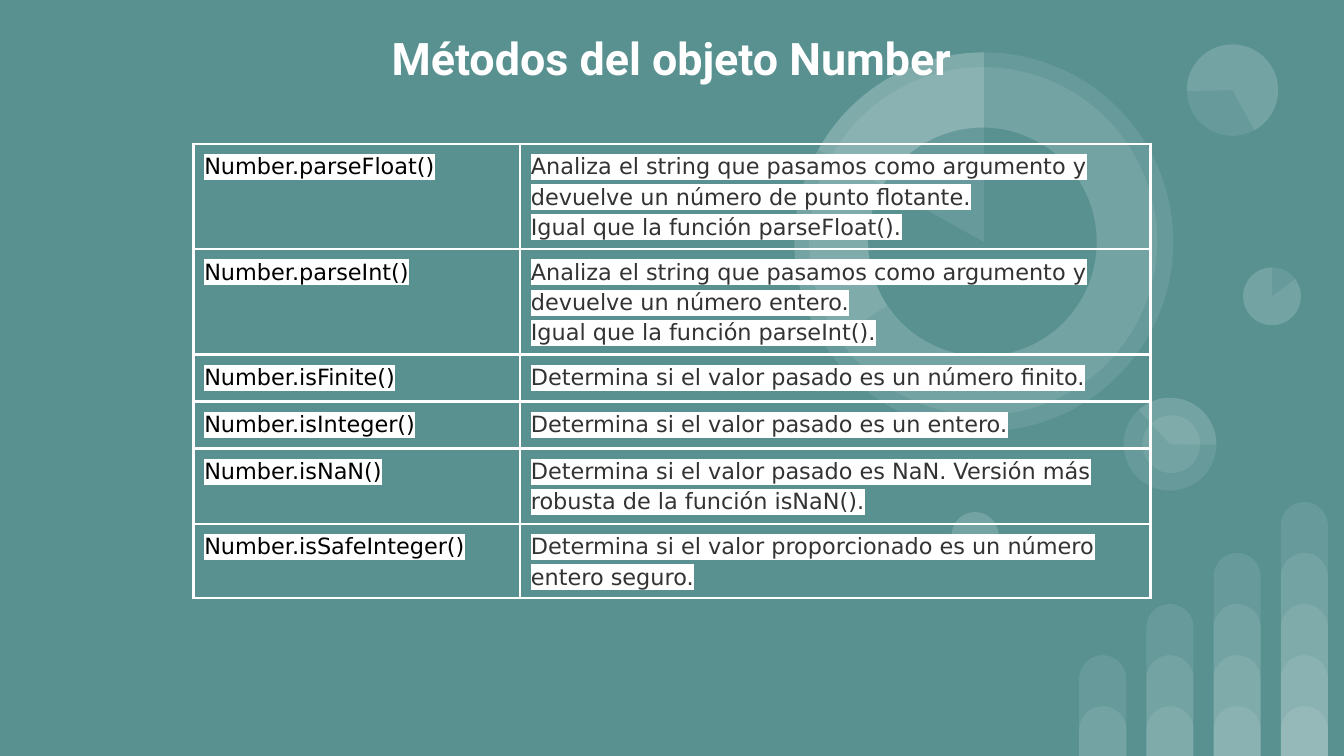
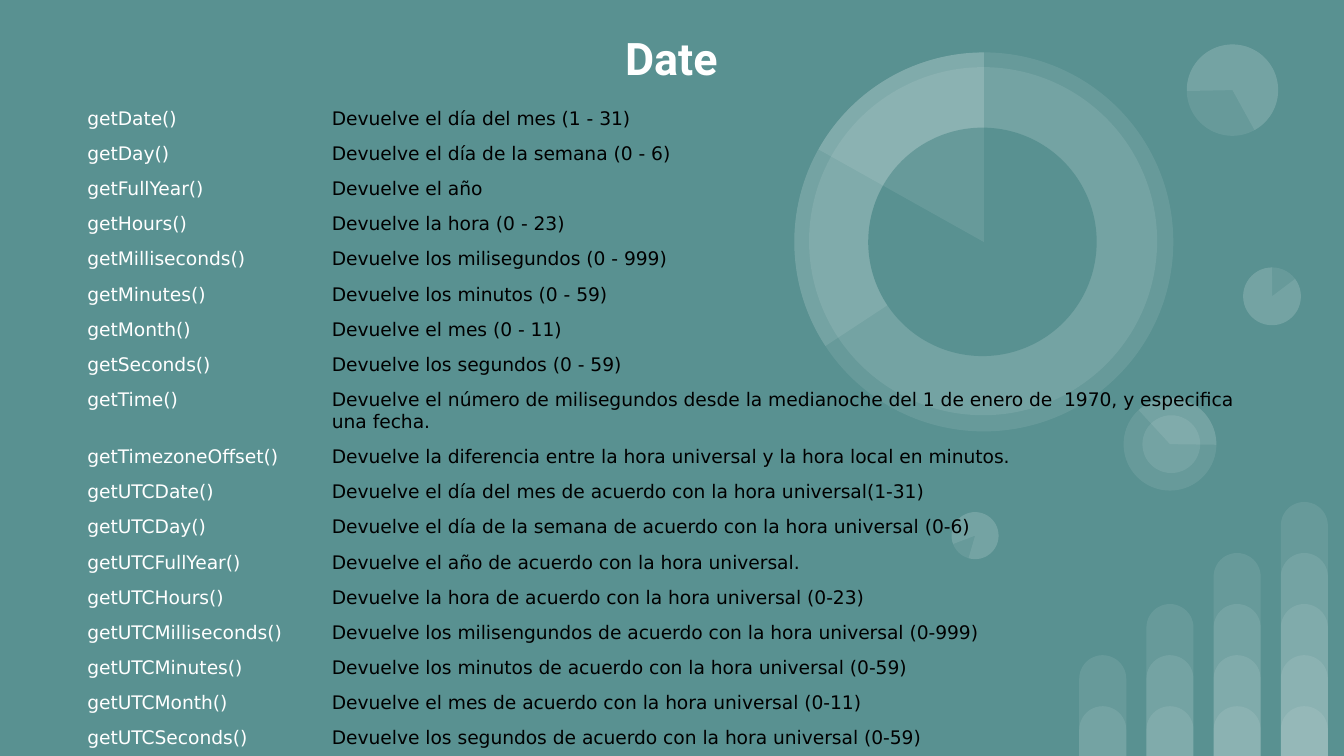
import dataclasses

import lxml.etree
import pptx
import pptx.dml.color
import pptx.enum.shapes
import pptx.enum.text
import pptx.oxml.ns
import pptx.util

Inches = pptx.util.Inches
SHAPE = pptx.enum.shapes.MSO_SHAPE
ALIGN = pptx.enum.text.PP_ALIGN
ANCHOR = pptx.enum.text.MSO_ANCHOR
qn = pptx.oxml.ns.qn


@dataclasses.dataclass(frozen=True)
class Theme:
    background: str = "599191"
    white: str = "FFFFFF"
    black: str = "000000"
    description: str = "333333"
    veil_alpha: int = 9
    title_font: str = "Roboto"
    body_font: str = "DejaVu Sans"
    title_size: int = 24
    number_size: int = 12
    date_size: int = 10
    border_width: float = 1.47
    cell_padding: float = 3.4


THEME = Theme()
SLIDE_WIDTH = 10
SLIDE_HEIGHT = SLIDE_WIDTH * 9 / 16

NUMBER_METHODS = [
    ("Number.parseFloat()",
     "Analiza el string que pasamos como argumento y devuelve un número de punto flotante.\n"
     "Igual que la función parseFloat()."),
    ("Number.parseInt()",
     "Analiza el string que pasamos como argumento y devuelve un número entero.\n"
     "Igual que la función parseInt()."),
    ("Number.isFinite()", "Determina si el valor pasado es un número finito."),
    ("Number.isInteger()", "Determina si el valor pasado es un entero."),
    ("Number.isNaN()",
     "Determina si el valor pasado es NaN. Versión más robusta de la función isNaN()."),
    ("Number.isSafeInteger()",
     "Determina si el valor proporcionado es un número entero seguro."),
]

DATE_METHODS = [
    ("getDate()", "Devuelve el día del mes (1 - 31)"),
    ("getDay()", "Devuelve el día de la semana (0 - 6)"),
    ("getFullYear()", "Devuelve el año"),
    ("getHours()", "Devuelve la hora (0 - 23)"),
    ("getMilliseconds()", "Devuelve los milisegundos (0 - 999)"),
    ("getMinutes()", "Devuelve los minutos (0 - 59)"),
    ("getMonth()", "Devuelve el mes (0 - 11)"),
    ("getSeconds()", "Devuelve los segundos (0 - 59)"),
    ("getTime()",
     "Devuelve el número de milisegundos desde la medianoche del 1 de enero de  1970, "
     "y especifica una fecha."),
    ("getTimezoneOffset()",
     "Devuelve la diferencia entre la hora universal y la hora local en minutos."),
    ("getUTCDate()", "Devuelve el día del mes de acuerdo con la hora universal(1-31)"),
    ("getUTCDay()", "Devuelve el día de la semana de acuerdo con la hora universal (0-6)"),
    ("getUTCFullYear()", "Devuelve el año de acuerdo con la hora universal."),
    ("getUTCHours()", "Devuelve la hora de acuerdo con la hora universal (0-23)"),
    ("getUTCMilliseconds()",
     "Devuelve los milisengundos de acuerdo con la hora universal (0-999)"),
    ("getUTCMinutes()", "Devuelve los minutos de acuerdo con la hora universal (0-59)"),
    ("getUTCMonth()", "Devuelve el mes de acuerdo con la hora universal (0-11)"),
    ("getUTCSeconds()", "Devuelve los segundos de acuerdo con la hora universal (0-59)"),
]


def rgb(color):
    return pptx.dml.color.RGBColor.from_string(color)


def write_text(frame, text, *, font, size, color, bold=False, align=ALIGN.LEFT,
               spacing=1.0, highlight=None):
    frame.word_wrap = True
    for index, line in enumerate(text.split("\n")):
        paragraph = frame.add_paragraph() if index else frame.paragraphs[0]
        paragraph.alignment = align
        paragraph.line_spacing = spacing
        run = paragraph.add_run()
        run.text = line
        run.font.size = pptx.util.Pt(size)
        run.font.bold = bold
        run.font.color.rgb = rgb(color)
        run.font.name = font
        if highlight:
            marker = lxml.etree.Element(qn("a:highlight"))
            lxml.etree.SubElement(marker, qn("a:srgbClr"), val=highlight)
            run.font._element.find(qn("a:latin")).addprevious(marker)


def add_veil(slide, kind, left, top, width, height, rotation=0, adjustments=(),
             color=THEME.white, alpha=THEME.veil_alpha):
    veil = slide.shapes.add_shape(kind, Inches(left), Inches(top), Inches(width), Inches(height))
    veil.shadow.inherit = False
    veil.rotation = rotation
    for index, value in enumerate(adjustments):
        veil.adjustments[index] = value
    veil.fill.solid()
    veil.fill.fore_color.rgb = rgb(color)
    veil.line.fill.background()
    if alpha < 100:
        tint = veil._element.spPr.find(qn("a:solidFill"))[0]
        lxml.etree.SubElement(tint, qn("a:alpha"), val=str(alpha * 1000))


def add_disc(slide, left, top, diameter, rotation=0, **paint):
    add_veil(slide, SHAPE.OVAL, left, top, diameter, diameter, rotation, **paint)


def add_slice(slide, left, top, diameter, start, end=270, rotation=0):
    units_per_degree = 0.6
    add_veil(slide, SHAPE.PIE, left, top, diameter, diameter, rotation,
             (start * units_per_degree, end * units_per_degree))


def add_bars(slide):
    for column in range(4):
        for level in range(column + 2):
            height = 0.37 + 0.38 * level
            add_veil(slide, SHAPE.ROUND_2_SAME_RECTANGLE, 8.03 + 0.5 * column,
                     SLIDE_HEIGHT - height, 0.35, height, adjustments=(0.5, 0))


def add_small_pies(slide):
    for left, top, diameter, rotation, start, end in [
        (9.25, 1.99, 0.43, 0, 322.95, 270),
        (7.08, 3.81, 0.35, 196.2, 322.95, 270),
        (8.36, 2.96, 0.69, 90, 137.41, 270.77),
        (8.83, 0.33, 0.68, 215.9, 322.95, 205.23),
    ]:
        add_disc(slide, left, top, diameter, rotation)
        add_slice(slide, left, top, diameter, start, end, rotation)
    add_disc(slide, 8.5, 3.09, 0.43, 90)


def add_ring(slide):
    outer = (5.91, 0.39, 2.82)
    tilt = 34.1
    add_disc(slide, *outer)
    add_disc(slide, 6.02, 0.5, 2.59, tilt)
    add_slice(slide, *outer, 146.69)
    add_disc(slide, 6.46, 0.95, 1.7, tilt, color=THEME.background, alpha=100)
    add_slice(slide, *outer, 209.24)


def add_title(slide, text):
    title = slide.shapes.add_textbox(Inches(0.73), Inches(0.22), Inches(8.53), Inches(0.42))
    frame = title.text_frame
    frame.vertical_anchor = ANCHOR.MIDDLE
    frame.margin_left = frame.margin_right = Inches(0.1)
    frame.margin_top = frame.margin_bottom = Inches(0.1)
    write_text(frame, text, font=THEME.title_font, size=THEME.title_size,
               color=THEME.white, bold=True, align=ALIGN.CENTER)


def set_borders(cell, color):
    properties = cell._tc.get_or_add_tcPr()
    width = str(pptx.util.Pt(THEME.border_width) if color else 0)
    for side in ("lnL", "lnR", "lnT", "lnB"):
        border = lxml.etree.SubElement(properties, qn("a:" + side), w=width)
        if color:
            fill = lxml.etree.SubElement(border, qn("a:solidFill"))
            lxml.etree.SubElement(fill, qn("a:srgbClr"), val=color)
        else:
            lxml.etree.SubElement(border, qn("a:noFill"))


def add_method_table(slide, methods, left, top, widths, heights, colors, *,
                     indent=0.08, border=None, **text_format):
    table = slide.shapes.add_table(len(methods), len(widths), Inches(left), Inches(top),
                                   Inches(sum(widths)), Inches(sum(heights))).table
    table.first_row = table.horz_banding = False
    for column, width in zip(table.columns, widths):
        column.width = Inches(width)
    for row, height, method in zip(table.rows, heights, methods):
        row.height = Inches(height)
        for cell, text, color, margin in zip(row.cells, method, colors, (indent, 0.08)):
            set_borders(cell, border)
            cell.fill.background()
            cell.margin_left, cell.margin_right = Inches(margin), Inches(0.08)
            cell.margin_top = cell.margin_bottom = pptx.util.Pt(THEME.cell_padding)
            write_text(cell.text_frame, text, font=THEME.body_font, color=color, **text_format)


def add_themed_slide(deck, title):
    slide = deck.slides.add_slide(deck.slide_layouts[6])
    add_bars(slide)
    add_small_pies(slide)
    add_ring(slide)
    add_title(slide, title)
    return slide


def main():
    deck = pptx.Presentation()
    deck.slide_width, deck.slide_height = Inches(SLIDE_WIDTH), Inches(SLIDE_HEIGHT)
    backdrop = deck.slide_master.background.fill
    backdrop.solid()
    backdrop.fore_color.rgb = rgb(THEME.background)

    number_slide = add_themed_slide(deck, "Métodos del objeto Number")
    add_method_table(number_slide, NUMBER_METHODS, 1.44, 1.07, (2.43, 4.69),
                     (0.76, 0.76, 0.35, 0.35, 0.56, 0.55), (THEME.black, THEME.description),
                     border=THEME.white, size=THEME.number_size, spacing=1.15,
                     highlight=THEME.white)

    date_slide = add_themed_slide(deck, "Date")
    add_method_table(date_slide, DATE_METHODS, 0.48, 0.76, (1.91, 7.12),
                     [0.2] * len(DATE_METHODS), (THEME.white, THEME.black),
                     indent=0.17, size=THEME.date_size)

    deck.save("out.pptx")


if __name__ == "__main__":
    main()
